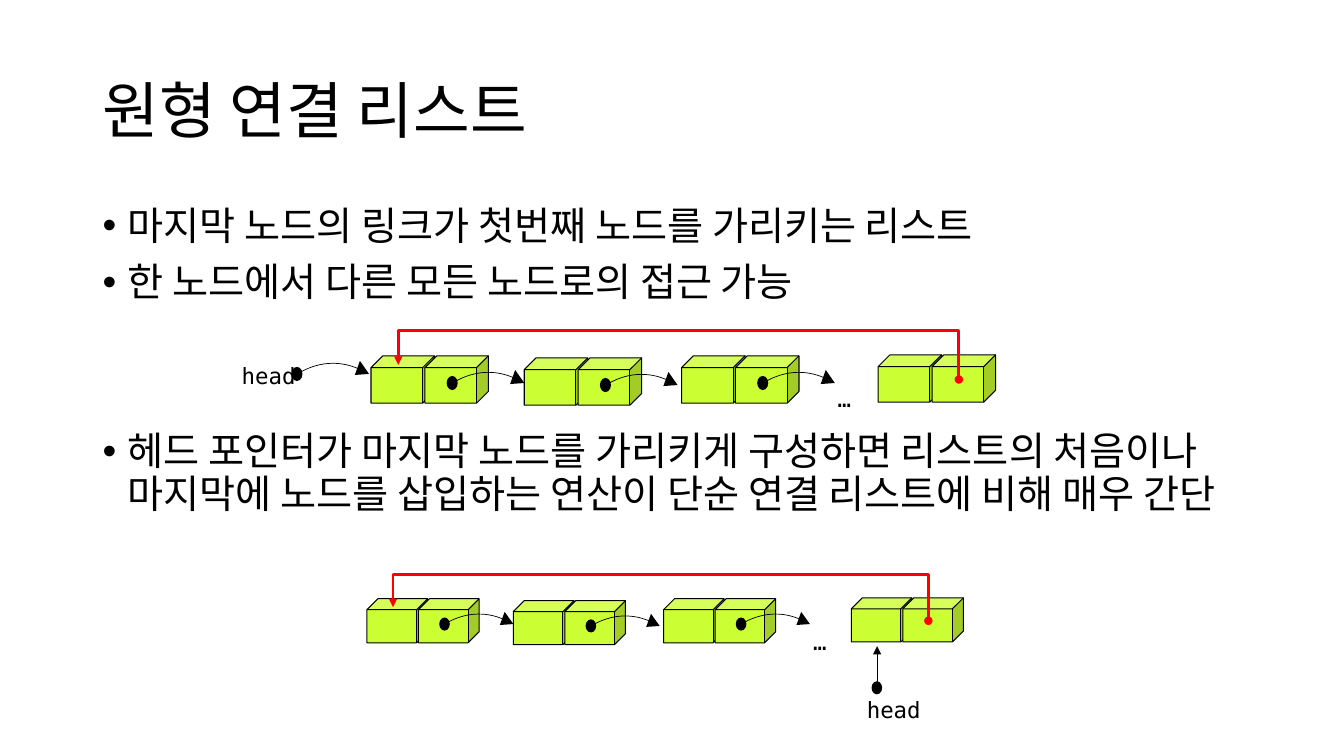
from dataclasses import dataclass
from pptx import Presentation
from pptx.dml.color import RGBColor as Color
from pptx.enum.shapes import MSO_CONNECTOR as Link, MSO_SHAPE as Shape
from pptx.enum.text import MSO_ANCHOR as Anchor, PP_ALIGN as Align
from pptx.oxml.ns import qn
from pptx.util import Inches, Pt
from lxml.etree import SubElement


@dataclass(frozen=True)
class Theme:
    ink: Color = Color(0, 0, 0)
    node: Color = Color(0xCC, 0xFF, 0x33)
    loop: Color = Color(0xFF, 0, 0)
    text_font: str = "Noto Sans CJK KR"
    code_font: str = "DejaVu Sans Mono"
    title_size: int = 44
    body_size: int = 28
    code_size: int = 16


THEME = Theme()
TITLE = "원형 연결 리스트"
BULLETS = [  # wording, space before in points
    ("마지막 노드의 링크가 첫번째 노드를 가리키는 리스트", 10),
    ("한 노드에서 다른 모든 노드로의 접근 가능", 10),
    ("헤드 포인터가 마지막 노드를 가리키게 구성하면 리스트의 처음이나 "
     "마지막에 노드를 삽입하는 연산이 단순 연결 리스트에 비해 매우 간단", 90.5),
]
NODES = [(0, 0), (1.52, 0.02), (3.08, 0), (5.03, -0.01)]  # offsets in a chain


def apply(target, formats):
    for name, value in formats.items():
        setattr(target, name, value)


def write(para, words, font, size):
    span = para.add_run()
    span.text = words
    apply(span.font, {"name": font, "size": Pt(size)})
    span.font.color.rgb = THEME.ink
    SubElement(span.font._element, qn("a:ea"), typeface=font)


def text_box(shapes, area, **formats):
    box = shapes.add_textbox(*map(Inches, area))
    apply(box.text_frame, {"word_wrap": True, **formats})
    return box.text_frame


def code_label(shapes, words, area, align=Align.LEFT, **formats):
    frame = text_box(shapes, area, word_wrap=False, **formats)
    para = frame.paragraphs[0]
    para.alignment = align
    write(para, words, THEME.code_font, THEME.code_size)


def head_label(shapes, area):
    margins = dict.fromkeys(("margin_left", "margin_right",
                             "margin_top", "margin_bottom"), 0)
    code_label(shapes, "head", area, Align.CENTER,
               vertical_anchor=Anchor.MIDDLE, **margins)


def paint(shape, fill=None, line=None, width=0.75):
    shape.shadow.inherit = False
    for part, color in ((shape.fill, fill), (shape.line.fill, line)):
        if color is None:
            part.background()
        else:
            part.solid()
            part.fore_color.rgb = color
    if line is not None:
        shape.line.width = Pt(width)


def outline(shapes, points, close):
    points = [(Inches(x), Inches(y)) for x, y in points]
    builder = shapes.build_freeform(*points[0], scale=1.0)
    builder.add_line_segments(points[1:], close=close)
    return builder.convert_to_shape()


def connector(shapes, kind, start, end, color, width, **ends):
    line = shapes.add_connector(kind, *map(Inches, (*start, *end)))
    line.line.color.rgb = color
    line.line.width = Pt(width)
    for tag, shape in ends.items():
        SubElement(line.line._ln, qn(f"a:{tag}"), type=shape)
    SubElement(line._element.spPr, qn("a:effectLst"))
    return line


def curve(start, first, second, end, steps=16):
    for step in range(steps + 1):
        t = step / steps
        weights = ((1 - t) ** 3, 3 * t * (1 - t) ** 2, 3 * t * t * (1 - t), t ** 3)
        yield tuple(sum(w * p[axis] for w, p in zip(weights, (start, first, second, end)))
                    for axis in (0, 1))


@dataclass
class Chain:
    """A row of list nodes, placed from the corner of its first node."""
    shapes: object
    left: float
    top: float
    wide: float = 1
    high: float = 1

    def at(self, x, y):
        return self.left + x * self.wide, self.top + y * self.high

    def preset(self, kind, x, y, width, height):
        area = (*self.at(x, y), width * self.wide, height * self.high)
        return self.shapes.add_shape(kind, *map(Inches, area))

    def node(self, x, y):
        for cell in (0, 0.535):
            paint(self.preset(Shape.CUBE, x + cell, y, 0.63, 0.47), THEME.node, THEME.ink)

    def dot(self, x, y):
        paint(self.preset(Shape.OVAL, x - 0.06, y - 0.07, 0.11, 0.14), THEME.ink)

    def pointer(self, x, y):
        def place(*offsets):
            return [self.at(x + dx, y + dy) for dx, dy in offsets]
        arc = place((0, 0), (0.19, -0.12), (0.41, -0.14), (0.61, -0.05))
        tip = place((0.62, -0.13), (0.71, 0), (0.57, 0.01))
        paint(outline(self.shapes, list(curve(*arc)), False), line=THEME.ink, width=0.5)
        self.dot(x, y)
        paint(outline(self.shapes, tip, True), THEME.ink)

    def loop_back(self):
        line = connector(self.shapes, Link.ELBOW, self.at(0.27, 0.09), self.at(5.83, 0.235),
                         THEME.loop, 0, headEnd="oval", tailEnd="triangle")
        # Half a turn makes the line start at the last node and rise above the row
        line._element.spPr.find(qn("a:xfrm")).set("rot", "10800000")
        geometry = line._element.spPr.find(qn("a:prstGeom"))
        geometry.set("prst", "bentConnector4")
        guides = geometry.find(qn("a:avLst"))
        if guides is None:
            guides = SubElement(geometry, qn("a:avLst"))
        for name, value in (("adj1", 0), ("adj2", 337600)):
            SubElement(guides, qn("a:gd"), name=name, fmla=f"val {value}")

    def draw(self):
        for x, y in NODES:
            self.node(x, y)
            if (x, y) != NODES[-1]:
                self.pointer(x + 0.81, y + 0.27)
        self.loop_back()
        left, _ = self.at(4.53, 0)
        code_label(self.shapes, "…", (left, self.top + 0.24, 0.34, 0.37))


def add_title(page):
    frame = text_box(page.shapes, (0.92, 0.4, 11.5, 1.45), vertical_anchor=Anchor.MIDDLE)
    para = frame.paragraphs[0]
    para.line_spacing = 0.9
    write(para, TITLE, THEME.text_font, THEME.title_size)


def add_bullets(page):
    frame = text_box(page.shapes, (0.92, 2, 11.5, 4.76))
    for index, (words, before) in enumerate(BULLETS):
        para = frame.add_paragraph() if index else frame.paragraphs[0]
        apply(para, {"line_spacing": 0.9, "space_before": Pt(before)})
        props = para._p.get_or_add_pPr()
        props.set("marL", str(Inches(0.25)))
        props.set("indent", str(-Inches(0.25)))
        SubElement(props, qn("a:buFont"), typeface="Arial")
        SubElement(props, qn("a:buChar"), char="•")
        write(para, words, THEME.text_font, THEME.body_size)


def main():
    deck = Presentation()
    apply(deck, {"slide_width": Inches(13.33), "slide_height": Inches(7.5)})
    page = deck.slides.add_slide(deck.slide_layouts[6])
    add_title(page)
    add_bullets(page)

    # Head points to the first node
    first = Chain(page.shapes.add_group_shape().shapes, 3.68, 3.53)
    head_label(first.shapes, (2.23, 3.54, 0.87, 0.37))
    first.draw()
    first.pointer(-0.73, 0.18)

    # Head points to the last node
    last = Chain(page.shapes.add_group_shape().shapes, 3.64, 5.94, 0.955, 0.93)
    head_label(last.shapes, (8.45, 6.87, 0.83, 0.34))
    last.draw()
    connector(last.shapes, Link.STRAIGHT, (8.7, 6.78), (8.7, 6.41),
              THEME.ink, 0.75, tailEnd="triangle")
    last.dot(5.3, 0.95)

    deck.save("out.pptx")


main()
